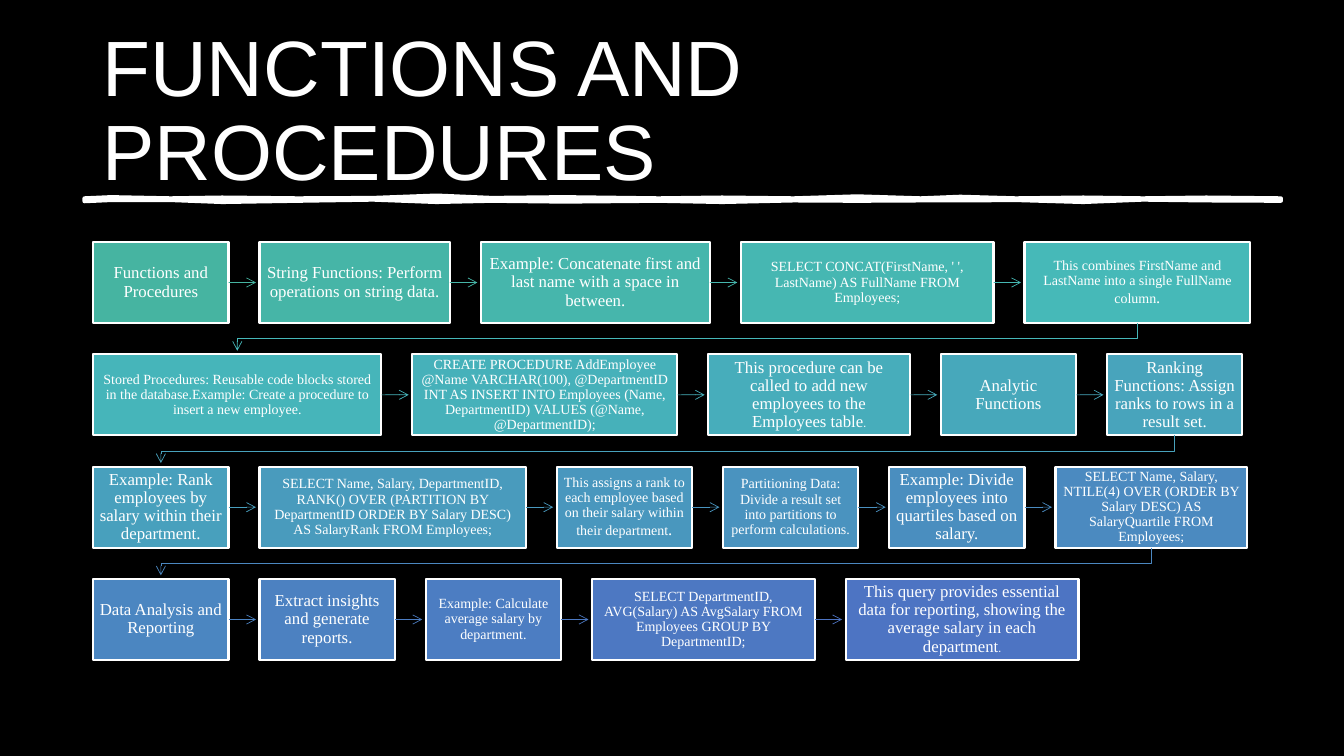
from colorsys import hls_to_rgb, rgb_to_hls
from dataclasses import dataclass
from typing import Optional

from lxml.etree import SubElement
from pptx import Presentation
from pptx.dml.color import RGBColor
from pptx.enum.shapes import MSO_CONNECTOR, MSO_SHAPE
from pptx.enum.text import MSO_ANCHOR, MSO_AUTO_SIZE, PP_ALIGN
from pptx.oxml.ns import qn
from pptx.util import Cm, Pt

BLACK = RGBColor(0x00, 0x00, 0x00)
WHITE = RGBColor(0xFF, 0xFF, 0xFF)
FLOW_START = RGBColor(0x46, 0xB4, 0xA1)
FLOW_END = RGBColor(0x4D, 0x74, 0xC3)
TITLE_FONT = "Arial"
STEP_FONT = "Times New Roman"

FLOW_LEFT = 2.35
FLOW_TOP = 6.1
ROW_PITCH = 2.83
BOX_HEIGHT = 2.04
BOX_GAP = 0.78
ARROW_CLEARANCE = 0.09
NARROW = 3.41
SIDE_MARGIN = 0.16
VERTICAL_MARGIN = 0.18


@dataclass(frozen=True)
class Ending:
    text: str = "."
    size: float = 12
    font: str = STEP_FONT


@dataclass(frozen=True)
class Step:
    text: str
    width: float = NARROW
    size: float = 12
    ending: Optional[Ending] = None


@dataclass(frozen=True)
class BrushStation:
    x: float
    top: float
    bottom: float


SERIF_STOP = Ending()
COMIC_STOP = Ending(font="Comic Neue")

ROWS = [
    [
        Step("Functions and Procedures"),
        Step("String Functions: Perform operations on string data.", 4.8),
        Step("Example: Concatenate first and last name with a space in between.", 5.77),
        Step("SELECT CONCAT(FirstName, ' ', LastName) AS FullName FROM Employees;", 6.37, 10),
        Step("This combines FirstName and LastName into a single FullName column", 5.69, 10, SERIF_STOP),
    ],
    [
        Step("Stored Procedures: Reusable code blocks stored in the database."
             "Example: Create a procedure to insert a new employee.", 7.26, 10),
        Step("CREATE PROCEDURE AddEmployee @Name VARCHAR(100), @DepartmentID INT AS "
             "INSERT INTO Employees (Name, DepartmentID) VALUES (@Name, @DepartmentID);", 6.68, 10),
        Step("This procedure can be called to add new employees to the Employees table",
             5.08, 12, COMIC_STOP),
        Step("Analytic Functions"),
        Step("Ranking Functions: Assign ranks to rows in a result set."),
    ],
    [
        Step("Example: Rank employees by salary within their department."),
        Step("SELECT Name, Salary, DepartmentID, RANK() OVER (PARTITION BY DepartmentID "
             "ORDER BY Salary DESC) AS SalaryRank FROM Employees;", 6.71, 10),
        Step("This assigns a rank to each employee based on their salary within their department",
             NARROW, 10, SERIF_STOP),
        Step("Partitioning Data: Divide a result set into partitions to perform calculations.",
             NARROW, 10),
        Step("Example: Divide employees into quartiles based on salary."),
        Step("SELECT Name, Salary, NTILE(4) OVER (ORDER BY Salary DESC) AS SalaryQuartile "
             "FROM Employees;", 4.83, 10),
    ],
    [
        Step("Data Analysis and Reporting"),
        Step("Extract insights and generate reports."),
        Step("Example: Calculate average salary by department.", NARROW, 10),
        Step("SELECT DepartmentID, AVG(Salary) AS AvgSalary FROM Employees "
             "GROUP BY DepartmentID;", 5.61, 10),
        Step("This query provides essential data for reporting, showing the average salary "
             "in each department", 5.87, 12, COMIC_STOP),
    ],
]

BRUSH = [
    BrushStation(2.13, 5.0, 5.07), BrushStation(2.8, 4.97, 5.04),
    BrushStation(4.3, 5.0, 5.04), BrushStation(5.6, 4.98, 5.09),
    BrushStation(7.5, 5.0, 5.06), BrushStation(9.4, 4.99, 5.03),
    BrushStation(11.0, 4.93, 5.09), BrushStation(12.4, 4.99, 5.06),
    BrushStation(14.2, 4.97, 5.08), BrushStation(16.6, 5.0, 5.06),
    BrushStation(18.2, 4.98, 5.09), BrushStation(20.0, 5.0, 5.05),
    BrushStation(21.6, 4.95, 5.06), BrushStation(23.2, 5.0, 5.05),
    BrushStation(24.2, 4.96, 5.05), BrushStation(25.6, 5.0, 5.04),
    BrushStation(27.3, 4.98, 5.09), BrushStation(28.8, 5.0, 5.03),
    BrushStation(30.4, 4.98, 5.05), BrushStation(32.28, 5.0, 5.06),
]


def flow_color(fraction: float) -> RGBColor:
    start, end = (rgb_to_hls(*(channel / 255 for channel in color))
                  for color in (FLOW_START, FLOW_END))
    blend = [low + (high - low) * fraction for low, high in zip(start, end)]
    return RGBColor(*(round(channel * 255) for channel in hls_to_rgb(*blend)))


def format_run(run, size: float, font: str) -> None:
    run.font.size = Pt(size)
    run.font.name = font
    run.font.color.rgb = WHITE


def add_outline(shapes, points: list, close: bool):
    corners = [(Cm(x), Cm(y)) for x, y in points]
    builder = shapes.build_freeform(*corners[0], scale=1.0)
    builder.add_line_segments(corners[1:], close=close)
    shape = builder.convert_to_shape()
    shape.shadow.inherit = False
    return shape


def style_arrow(line, color: RGBColor) -> None:
    line.color.rgb = color
    line.width = Pt(0.5)
    SubElement(line._get_or_add_ln(), qn("a:tailEnd"), type="arrow")


def add_title(slide) -> None:
    title = slide.shapes.title
    title.left, title.top, title.width, title.height = Cm(2.33), Cm(1.01), Cm(29.21), Cm(3.68)
    text_frame = title.text_frame
    text_frame.text = "FUNCTIONS AND PROCEDURES"
    text_frame.auto_size = MSO_AUTO_SIZE.NONE
    text_frame.vertical_anchor = MSO_ANCHOR.MIDDLE
    paragraph = text_frame.paragraphs[0]
    paragraph.alignment = PP_ALIGN.LEFT
    paragraph.line_spacing = 0.9
    format_run(paragraph.runs[0], 56, TITLE_FONT)


def add_brush_stroke(shapes) -> None:
    points = [(station.x, station.top) for station in BRUSH]
    points += [(station.x, station.bottom) for station in reversed(BRUSH)]
    stroke = add_outline(shapes, points, True)
    stroke.fill.solid()
    stroke.fill.fore_color.rgb = WHITE
    stroke.line.color.rgb = WHITE
    stroke.line.width = Pt(3)


def add_step(shapes, step: Step, left: float, top: float, color: RGBColor):
    box = shapes.add_shape(MSO_SHAPE.RECTANGLE, Cm(left), Cm(top), Cm(step.width), Cm(BOX_HEIGHT))
    box.shadow.inherit = False
    box.fill.solid()
    box.fill.fore_color.rgb = color
    box.line.color.rgb = WHITE
    box.line.width = Pt(1.5)
    text_frame = box.text_frame
    text_frame.word_wrap = True
    text_frame.vertical_anchor = MSO_ANCHOR.MIDDLE
    text_frame.margin_left = text_frame.margin_right = Cm(SIDE_MARGIN)
    text_frame.margin_top = text_frame.margin_bottom = Cm(VERTICAL_MARGIN)
    paragraph = text_frame.paragraphs[0]
    paragraph.text = step.text
    paragraph.alignment = PP_ALIGN.CENTER
    paragraph.line_spacing = 0.9
    format_run(paragraph.runs[0], step.size, STEP_FONT)
    if step.ending:
        run = paragraph.add_run()
        run.text = step.ending.text
        format_run(run, step.ending.size, step.ending.font)
    return box


def add_step_arrow(shapes, box, right: float, middle: float, color: RGBColor) -> None:
    arrow = shapes.add_connector(MSO_CONNECTOR.STRAIGHT, Cm(right), Cm(middle),
                                 Cm(right + BOX_GAP - ARROW_CLEARANCE), Cm(middle))
    arrow.begin_connect(box, 3)
    SubElement(arrow._element.spPr, qn("a:effectLst"))
    style_arrow(arrow.line, color)


def add_row_arrow(shapes, start: float, end: float, bottom: float, color: RGBColor) -> None:
    gap = ROW_PITCH - BOX_HEIGHT
    turn = bottom + gap / 2
    points = [(start, bottom), (start, turn), (end, turn), (end, bottom + gap - ARROW_CLEARANCE)]
    arrow = add_outline(shapes, points, False)
    arrow.fill.background()
    style_arrow(arrow.line, color)


def add_flow(shapes) -> None:
    last = sum(len(row) for row in ROWS) - 1
    index = 0
    for row_number, row in enumerate(ROWS):
        left, top = FLOW_LEFT, FLOW_TOP + row_number * ROW_PITCH
        for step in row:
            box = add_step(shapes, step, left, top, flow_color(index / last))
            arrow_color = flow_color(index / (last - 1))
            if step is not row[-1]:
                add_step_arrow(shapes, box, left + step.width, top + BOX_HEIGHT / 2, arrow_color)
            elif index < last:
                target = FLOW_LEFT + ROWS[row_number + 1][0].width / 2
                add_row_arrow(shapes, left + step.width / 2, target, top + BOX_HEIGHT, arrow_color)
            left += step.width + BOX_GAP
            index += 1


def main() -> None:
    presentation = Presentation()
    presentation.slide_width, presentation.slide_height = Cm(33.87), Cm(19.05)
    slide = presentation.slides.add_slide(presentation.slide_layouts[5])
    slide.background.fill.solid()
    slide.background.fill.fore_color.rgb = BLACK
    add_title(slide)
    add_brush_stroke(slide.shapes)
    add_flow(slide.shapes)
    presentation.save("out.pptx")


if __name__ == "__main__":
    main()
